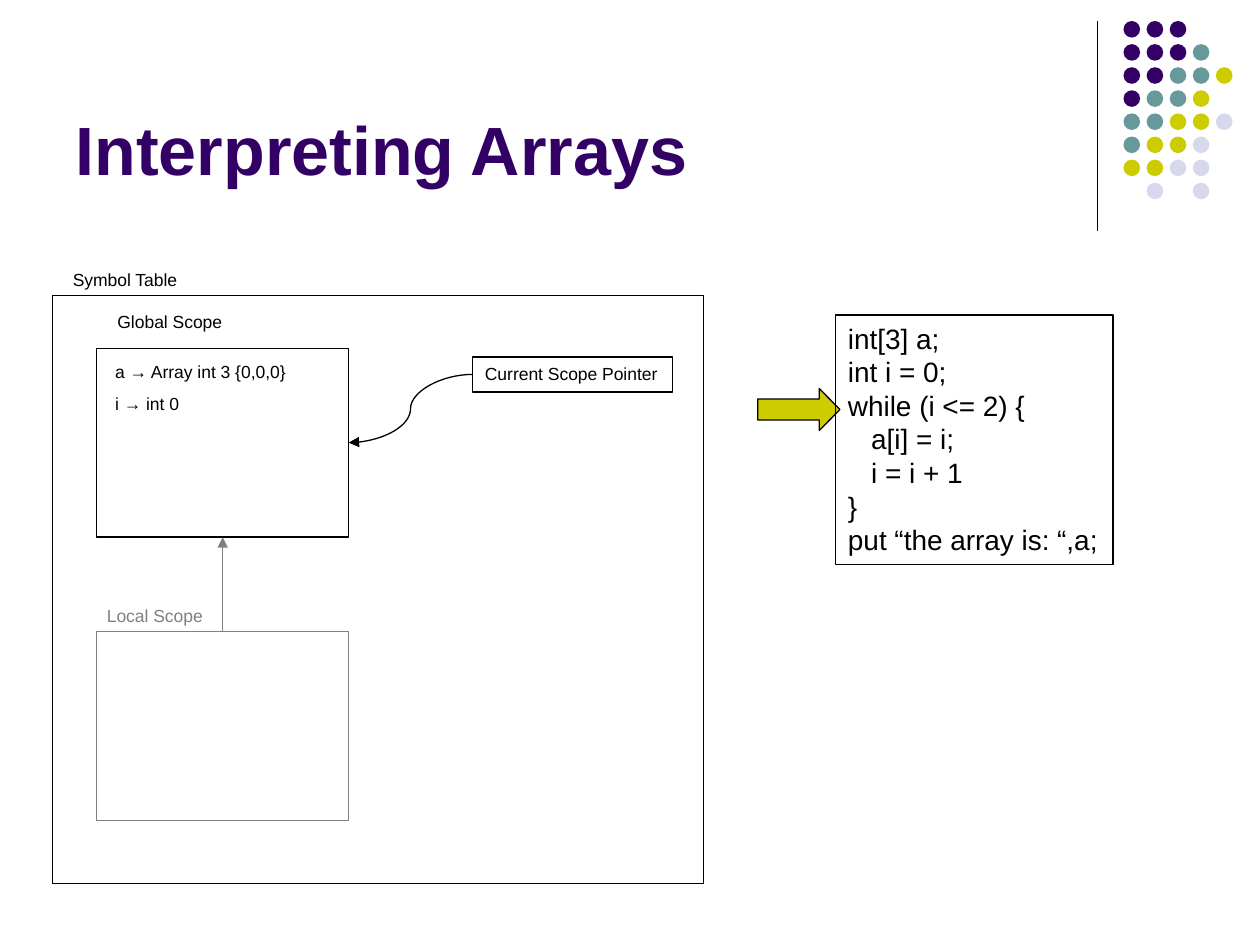
from pptx import Presentation
from pptx.dml.color import RGBColor
from pptx.enum import shapes, text
from pptx.oxml import ns
from pptx.util import Pt
from lxml import etree

COLORS = {"ink": "000000", "gray": "808080", "purple": "330066",
          "teal": "669999", "lime": "CCCC00", "mist": "D8D8EC"}
DOT_COLORS = {"P": "purple", "T": "teal", "L": "lime", "M": "mist"}
DOT_ROWS = ["PPP", "PPPT", "PPTTL", "PTTL", "TTLLM", "TLLM", "LLMM", ".M.M"]
CODE = ["int[3] a;", "int i = 0;", "while (i <= 2) {", "   a[i] = i;",
        "   i = i + 1", "}", "put “the array is: “,a;"]


def rgb(name):
    return RGBColor.from_string(COLORS[name])


def add_shape(s, kind, x, y, w, h, fill=None, line=None):
    sp = s.shapes.add_shape(kind, Pt(x), Pt(y), Pt(w), Pt(h))
    sp.shadow.inherit = False
    if fill:
        sp.fill.solid()
        sp.fill.fore_color.rgb = rgb(fill)
    else:
        sp.fill.background()
    if line:
        sp.line.color.rgb = rgb(line)
        sp.line.width = Pt(0.75)
    else:
        sp.line.fill.background()
    return sp


def add_text(s, lines, x, y, w, h, size=10, color="ink", border=None):
    sp = s.shapes.add_textbox(Pt(x), Pt(y), Pt(w), Pt(h))
    if border:
        sp.line.color.rgb = rgb(border)
        sp.line.width = Pt(0.75)
    tf = sp.text_frame
    tf.word_wrap = False
    tf.auto_size = text.MSO_AUTO_SIZE.SHAPE_TO_FIT_TEXT
    for i, line in enumerate(lines):
        p = tf.paragraphs[0] if i == 0 else tf.add_paragraph()
        p.text = line
        p.font.size = Pt(size)
        p.font.name = "Arial"
        p.font.color.rgb = rgb(color)
    return sp


def add_line(s, kind, x1, y1, x2, y2, color="ink", arrow=False):
    c = s.shapes.add_connector(kind, Pt(x1), Pt(y1), Pt(x2), Pt(y2))
    c.line.color.rgb = rgb(color)
    c.line.width = Pt(0.75)
    if arrow:
        etree.SubElement(c.line._get_or_add_ln(), ns.qn("a:tailEnd"), type="triangle")
    etree.SubElement(c._element.spPr, ns.qn("a:effectLst"))
    return c


def corner_dots(s, x, y, pitch=13.2, size=9.5):
    """Vertical rule with the grid of coloured dots to its right."""
    add_line(s, shapes.MSO_CONNECTOR.STRAIGHT, x, y, x, y + 120)
    for row, marks in enumerate(DOT_ROWS):
        for col, mark in enumerate(marks):
            if mark in DOT_COLORS:
                add_shape(s, shapes.MSO_SHAPE.OVAL, x + 15 + col * pitch,
                          y + row * pitch, size, size, DOT_COLORS[mark])


def title(s, x, y, w, h):
    sp = s.shapes.title
    sp.left, sp.top, sp.width, sp.height = Pt(x), Pt(y), Pt(w), Pt(h)
    tf = sp.text_frame
    tf.text = "Interpreting Arrays"
    tf.auto_size = text.MSO_AUTO_SIZE.NONE
    tf.vertical_anchor = text.MSO_ANCHOR.BOTTOM
    p = tf.paragraphs[0]
    p.alignment = text.PP_ALIGN.LEFT
    p.font.size = Pt(39)
    p.font.bold = True
    p.font.name = "Arial"
    p.font.color.rgb = rgb("purple")


def symbol_table(s, x, y, w, h):
    """Outer frame with the two scopes and the scope pointer."""
    rect, link = shapes.MSO_SHAPE.RECTANGLE, shapes.MSO_CONNECTOR
    scope_x, scope_w, scope_h = x + 25.3, 144, 108
    global_y, local_y = y + 30, y + 192
    middle = scope_x + scope_w / 2

    add_shape(s, rect, x, y, w, h, line="ink")
    add_text(s, ["Symbol Table"], x + 4.5, y - 19, 75.5, 19)

    # Global scope and its entries
    add_shape(s, rect, scope_x, global_y, scope_w, scope_h, line="ink")
    add_text(s, ["Global Scope"], x + 30, y + 5, 74, 19)
    for i, entry in enumerate(["a → Array int 3 {0,0,0}", "i → int 0"]):
        sp = add_text(s, [entry], x + 28.7, y + 34 + 18 * i, 133, 19)
        sp.text_frame.word_wrap = True

    # Local scope, linked to the global one
    add_shape(s, rect, scope_x, local_y, scope_w, scope_h, line="gray")
    add_text(s, ["Local Scope"], x + 24, y + 173, 72.5, 19, color="gray")
    add_line(s, link.STRAIGHT, middle, local_y, middle, global_y + scope_h,
             "gray", arrow=True)

    # Current scope pointer
    add_text(s, ["Current Scope Pointer"], x + 240, y + 35, 114.5, 20, border="ink")
    add_line(s, link.CURVE, x + 240, y + 45, scope_x + scope_w,
             global_y + scope_h / 2, arrow=True)


def code_panel(s, x, y, w, h):
    """Program listing with the arrow at the line being run."""
    arrow = add_shape(s, shapes.MSO_SHAPE.RIGHT_ARROW, x - 44.5, y + 42, 47, 24,
                      "lime", "ink")
    arrow.adjustments[1] = 0.49
    add_text(s, CODE, x, y, w, h, size=16, border="ink")


def main():
    prs = Presentation()
    prs.slide_width, prs.slide_height = Pt(720), Pt(540)
    s = prs.slides.add_slide(prs.slide_layouts[5])
    corner_dots(s, 627, 12)
    title(s, 36, 9.5, 594, 102)
    symbol_table(s, 30, 169, 372, 336)
    code_panel(s, 477.5, 180, 158.5, 142.5)
    prs.save("out.pptx")


if __name__ == "__main__":
    main()
